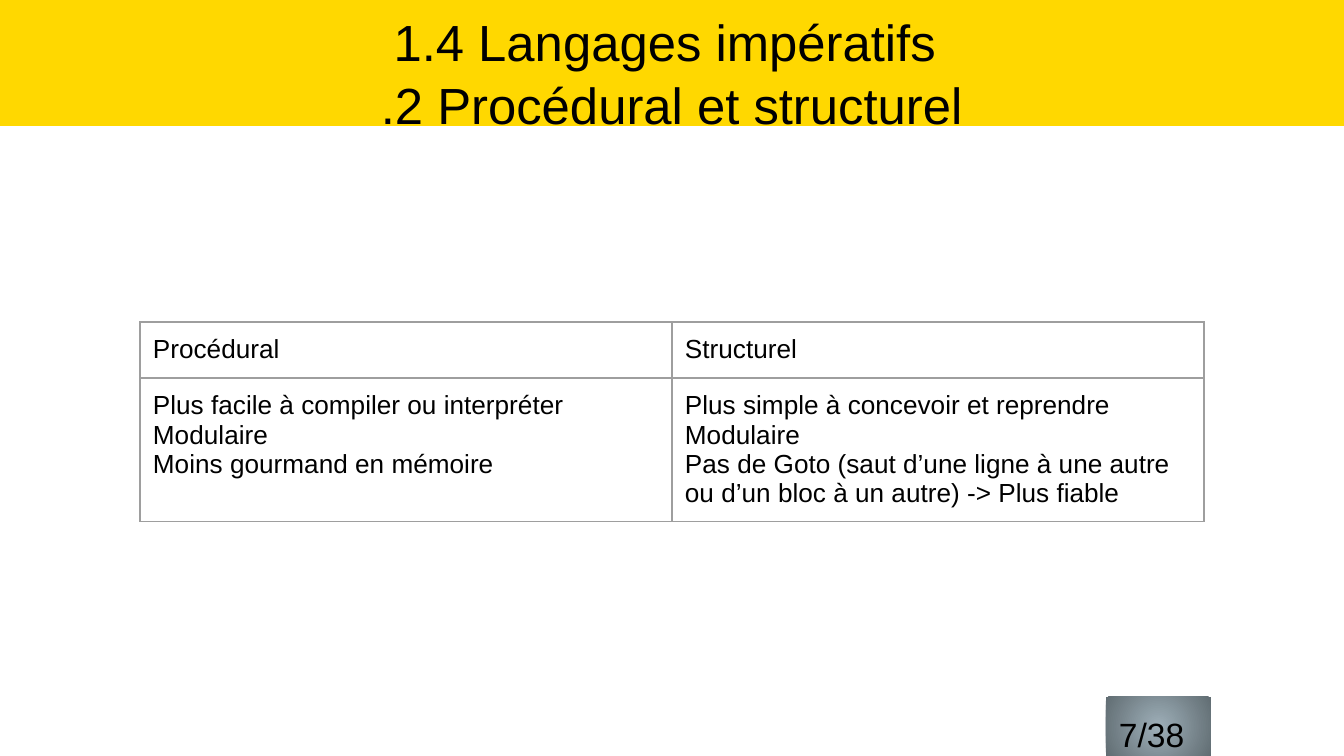
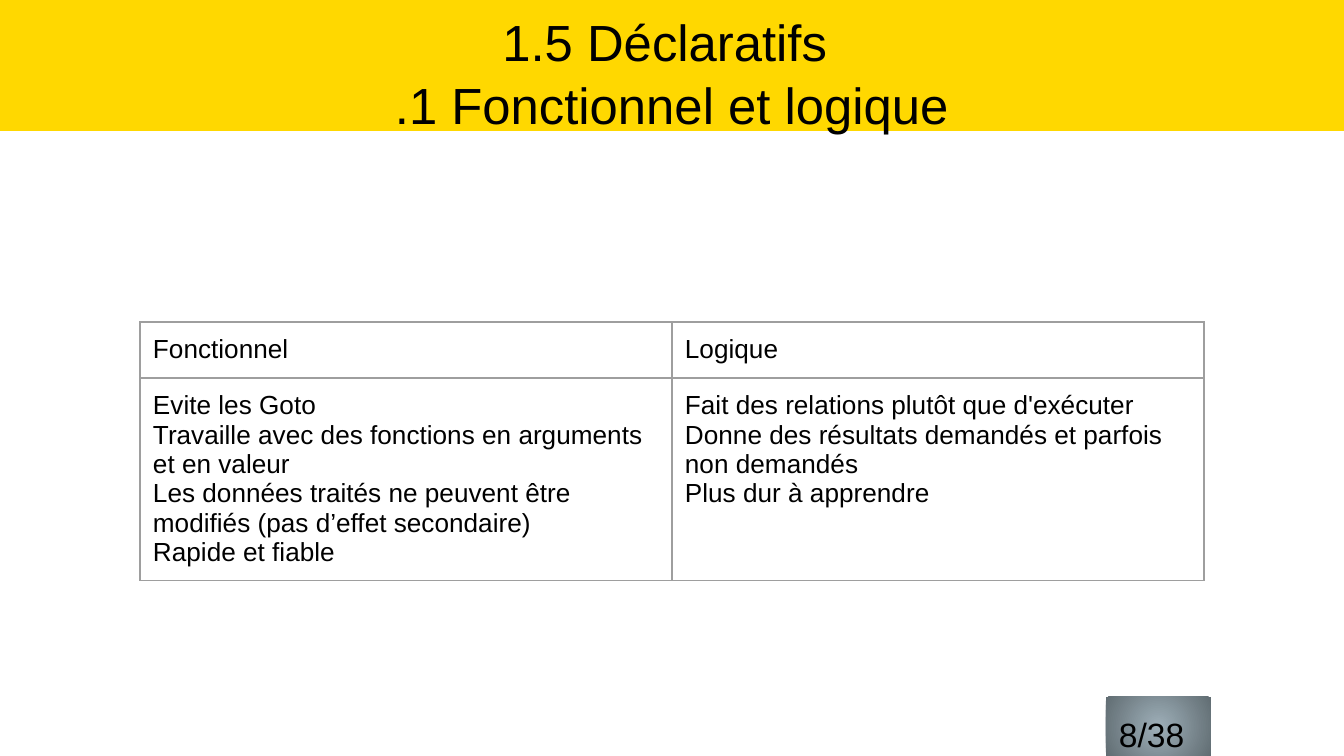
from pptx import Presentation
from pptx.dml.color import RGBColor
from pptx.enum.shapes import MSO_SHAPE
from pptx.enum.text import MSO_ANCHOR, MSO_AUTO_SIZE, PP_ALIGN
from pptx.oxml import parse_xml
from pptx.oxml.ns import nsdecls, qn
from pptx.util import Pt

RECT = MSO_SHAPE.RECTANGLE
TOP = MSO_ANCHOR.TOP
NO_AUTOFIT = MSO_AUTO_SIZE.NONE
LEFT, CENTER = PP_ALIGN.LEFT, PP_ALIGN.CENTER

EMU_PER_PX = 914400 * 10 / 1344
SLIDE_W, SLIDE_H = 1344, 756
INSET = 13
FONT = "Arial"
COLORS = {
    "band": "FFD800",
    "text": "000000",
    "border": "9E9E9E",
    "badge_center": "9EAFB8",
    "badge_edge": "616D73",
}
PAGE_COUNT = 38


def px(n):
    return round(n * EMU_PER_PX)


def rgb(name):
    return RGBColor.from_string(COLORS[name])


def write(tf, lines, size, align=LEFT, spacing=1.0):
    """Fill a text frame with one paragraph per line."""
    tf.word_wrap = True
    for i, line in enumerate(lines):
        p = tf.paragraphs[0] if i == 0 else tf.add_paragraph()
        p.alignment = align
        p.line_spacing = spacing
        p.space_before = p.space_after = Pt(0)
        r = p.add_run()
        r.text = line
        r.font.name = FONT
        r.font.size = Pt(size)
        r.font.color.rgb = rgb("text")


def set_frame(tf, top):
    tf.auto_size = NO_AUTOFIT
    tf.vertical_anchor = TOP
    tf.margin_left = tf.margin_right = tf.margin_bottom = px(INSET)
    tf.margin_top = px(top)


def add_title(s, lines, height):
    title = s.shapes.title
    title.left, title.top = px(0), px(-8)
    title.width, title.height = px(SLIDE_W), px(height)
    title.fill.solid()
    title.fill.fore_color.rgb = rgb("band")
    set_frame(title.text_frame, 17)
    write(title.text_frame, lines, 27.2, align=CENTER, spacing=1.03)


def set_borders(cell):
    tcPr = cell._tc.get_or_add_tcPr()
    for i, side in enumerate(("lnL", "lnR", "lnT", "lnB")):
        tcPr.insert(i, parse_xml(
            f'<a:{side} {nsdecls("a")} w="{Pt(0.75)}"><a:solidFill>'
            f'<a:srgbClr val="{COLORS["border"]}"/></a:solidFill></a:{side}>'))


def add_comparison(s, columns):
    """Two-row table: each column is a heading and its list of points."""
    col_w, row_h = 532, 56
    table = s.shapes.add_table(2, len(columns), px(140), px(322),
                               px(col_w * len(columns)), px(2 * row_h)).table
    table.first_row = table.horz_banding = False
    for row in table.rows:
        row.height = px(row_h)
    for c, (heading, points) in enumerate(columns):
        table.columns[c].width = px(col_w)
        for r, lines in enumerate(([heading], points)):
            cell = table.cell(r, c)
            cell.margin_left = cell.margin_right = px(INSET)
            cell.margin_top = cell.margin_bottom = px(INSET)
            cell.fill.background()
            set_borders(cell)
            write(cell.text_frame, lines, 14)


def add_page_badge(s, number):
    sp = s.shapes.add_shape(RECT, px(1106), px(697), px(105), px(59))
    sp.shadow.inherit = False
    sp.line.fill.background()
    # Radial gradient from the centre
    sp.fill.gradient()
    for stop, name in zip(sp.fill.gradient_stops, ("badge_center", "badge_edge")):
        stop.color.rgb = rgb(name)
    grad = sp._element.spPr.find(qn("a:gradFill"))
    grad.replace(grad.find(qn("a:lin")), parse_xml(
        f'<a:path {nsdecls("a")} path="circle">'
        '<a:fillToRect l="50000" t="50000" r="50000" b="50000"/></a:path>'))
    set_frame(sp.text_frame, 17)
    write(sp.text_frame, [f"{number}/{PAGE_COUNT}"], 18)


def add_slide(prs, number, title, title_height, columns):
    s = prs.slides.add_slide(prs.slide_layouts[5])
    add_title(s, title, title_height)
    add_comparison(s, columns)
    add_page_badge(s, number)


def main():
    prs = Presentation()
    prs.slide_width, prs.slide_height = px(SLIDE_W), px(SLIDE_H)

    # Imperative languages
    add_slide(prs, 7, ["1.4 Langages impératifs ", ".2 Procédural et structurel"], 134, [
        ("Procédural", ["Plus facile à compiler ou interpréter",
                        "Modulaire",
                        "Moins gourmand en mémoire"]),
        ("Structurel", ["Plus simple à concevoir et reprendre",
                        "Modulaire",
                        "Pas de Goto (saut d’une ligne à une autre ou d’un bloc "
                        "à un autre) -> Plus fiable"]),
    ])

    # Declarative languages
    add_slide(prs, 8, ["1.5 Déclaratifs ", ".1 Fonctionnel et logique"], 139, [
        ("Fonctionnel", ["Evite les Goto",
                         "Travaille avec des fonctions en arguments et en valeur",
                         "Les données traités ne peuvent être modifiés "
                         "(pas d’effet secondaire)",
                         "Rapide et fiable"]),
        ("Logique", ["Fait des relations plutôt que d'exécuter",
                     "Donne des résultats demandés et parfois non demandés",
                     "Plus dur à apprendre"]),
    ])

    prs.save("out.pptx")


if __name__ == "__main__":
    main()
